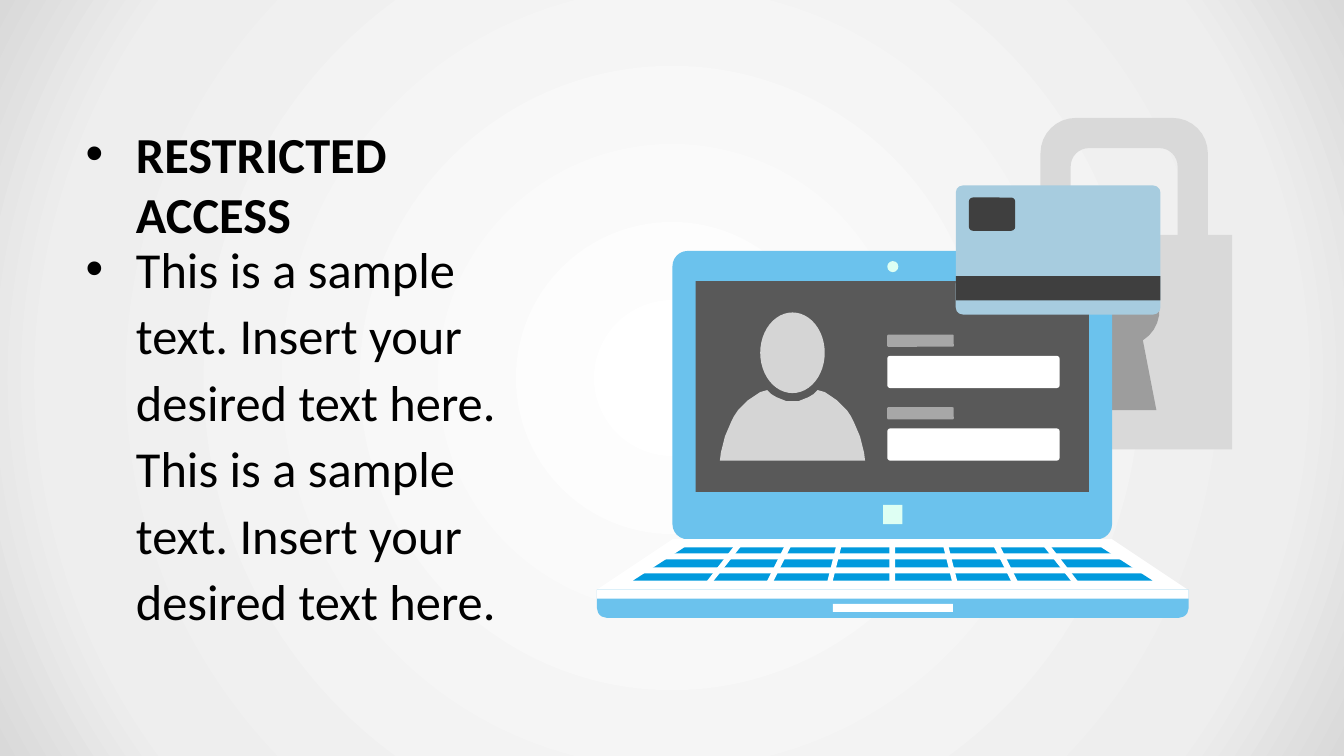
from dataclasses import dataclass
from math import cos, radians, sin

from lxml import etree
from pptx import Presentation
from pptx.dml.color import RGBColor
from pptx.enum.shapes import MSO_SHAPE
from pptx.oxml import parse_xml
from pptx.oxml.ns import nsdecls, qn
from pptx.util import Inches, Pt

RECT = MSO_SHAPE.RECTANGLE
ROUND = MSO_SHAPE.ROUNDED_RECTANGLE
ROUND_BOTTOM = MSO_SHAPE.ROUND_2_SAME_RECTANGLE
OVAL = MSO_SHAPE.OVAL

COLORS = {
    "black": "000000",
    "white": "FFFFFF",
    "pale": "EEEEEE",
    "grey": "D9D9D9",
    "keyhole": "404040",
    "laptop": "6BC2ED",
    "display": "595959",
    "mint": "DEFFF3",
    "keys": "019ADD",
    "card": "A7CCDF",
    "stripe": "3F3F3F",
}
FONT = "Calibri"
BACKDROP = ((0, "white"), (81, "pale"), (100, "grey"))

Point = tuple[float, float]


@dataclass
class Block:
    kind: int
    left: float
    top: float
    width: float
    height: float
    color: str
    radius: float = 0
    opacity: int = 100


@dataclass
class Outline:
    points: list[Point]
    color: str
    opacity: int = 100


@dataclass
class Bullet:
    text: str
    top: float
    height: float
    bold: bool
    spacing: float


def arc(x: float, y: float, radius: float, start: int, end: int, steps: int = 8) -> list[Point]:
    angles = [radians(start + (end - start) * i / steps) for i in range(steps + 1)]
    return [(x + radius * cos(a), y + radius * sin(a)) for a in angles]


def mirror(points: list[Point], axis: float) -> list[Point]:
    return [(2 * axis - x, y) for x, y in reversed(points)]


def paint(shape, color: str, opacity: int) -> None:
    shape.shadow.inherit = False
    shape.line.fill.background()
    shape.fill.solid()
    shape.fill.fore_color.rgb = RGBColor.from_string(COLORS[color])
    if opacity < 100:
        tint = next(shape.element.spPr.iter(qn("a:srgbClr")))
        etree.SubElement(tint, qn("a:alpha"), val=str(opacity * 1000))


def draw_block(slide, block: Block) -> None:
    box = (block.left, block.top, block.width, block.height)
    shape = slide.shapes.add_shape(block.kind, *map(Inches, box))
    corner = block.radius / min(block.width, block.height)
    if block.kind == ROUND:
        shape.adjustments[0] = corner
    elif block.kind == ROUND_BOTTOM:
        shape.adjustments[0] = 0
        shape.adjustments[1] = corner
    paint(shape, block.color, block.opacity)


def draw_outline(slide, outline: Outline) -> None:
    start, *rest = [(Inches(x), Inches(y)) for x, y in outline.points]
    builder = slide.shapes.build_freeform(*start)
    builder.add_line_segments(rest, close=True)
    paint(builder.convert_to_shape(), outline.color, outline.opacity)


def draw_bullet(slide, bullet: Bullet) -> None:
    box = (0.75, bullet.top, 4.58, bullet.height)
    frame = slide.shapes.add_textbox(*map(Inches, box)).text_frame
    frame.word_wrap = True
    paragraph = frame.paragraphs[0]
    properties = paragraph._p.get_or_add_pPr()
    properties.set("marL", str(Inches(0.5)))
    properties.set("indent", str(Inches(-0.5)))
    etree.SubElement(properties, qn("a:buFont"), typeface="Arial")
    etree.SubElement(properties, qn("a:buChar"), char="•")
    paragraph.line_spacing = bullet.spacing
    run = paragraph.add_run()
    run.text = bullet.text
    run.font.name = FONT
    run.font.size = Pt(36)
    run.font.bold = bullet.bold
    run.font.color.rgb = RGBColor.from_string(COLORS["black"])


def draw_backdrop(slide) -> None:
    stops = "".join(
        f'<a:gs pos="{place * 1000}"><a:srgbClr val="{COLORS[color]}"/></a:gs>'
        for place, color in BACKDROP
    )
    slide.element.cSld.insert(0, parse_xml(
        f'<p:bg {nsdecls("p", "a")}><p:bgPr><a:gradFill rotWithShape="1">'
        f'<a:gsLst>{stops}</a:gsLst><a:path path="circle">'
        '<a:fillToRect l="50000" t="50000" r="50000" b="50000"/></a:path>'
        '</a:gradFill><a:effectLst/></p:bgPr></p:bg>'
    ))


def padlock() -> list[Block | Outline]:
    keyhole = arc(11.15, 3.08, 0.35, 122, 418, 24) + [(11.47, 4.07), (10.84, 4.07)]
    outer = arc(10.67, 1.52, 0.35, 180, 270) + arc(11.63, 1.52, 0.35, 270, 360)
    inner = arc(11.5, 1.65, 0.18, 360, 270) + arc(10.8, 1.65, 0.18, 270, 180)
    shackle = outer + [(11.98, 2.33), (11.68, 2.33)] + inner + [(10.62, 2.33), (10.32, 2.33)]
    return [
        Block(RECT, 10.09, 2.33, 2.13, 2.13, "grey"),
        Outline(keyhole, "keyhole", 39),
        Outline(shackle, "grey"),
    ]


def laptop() -> list[Block | Outline]:
    right_gaps = [
        [(9.4, 5.39), (9.5, 5.79), (9.45, 5.8), (9.35, 5.4)],
        [(9.9, 5.38), (10.1, 5.78), (10.05, 5.81), (9.85, 5.41)],
        [(10.39, 5.38), (10.7, 5.78), (10.66, 5.81), (10.35, 5.42)],
    ]
    left_gaps = [mirror(gap, 8.85) for gap in right_gaps]
    return [
        Block(ROUND, 6.67, 2.49, 4.36, 2.86, "laptop", 0.15),
        Block(RECT, 6.9, 2.79, 3.9, 2.09, "display"),
        Block(OVAL, 8.8, 2.59, 0.11, 0.11, "mint"),
        Block(RECT, 8.76, 5.01, 0.19, 0.19, "mint"),
        Outline([(6.67, 5.35), (11.03, 5.35), (11.78, 5.85), (5.92, 5.85)], "white"),
        Block(ROUND_BOTTOM, 5.92, 5.85, 5.87, 0.28, "laptop", 0.1),
        Block(RECT, 8.26, 5.99, 1.19, 0.08, "white"),
        Block(RECT, 5.92, 5.85, 5.87, 0.09, "white"),
        Outline([(6.79, 5.43), (10.92, 5.43), (11.43, 5.76), (6.28, 5.76)], "keys"),
        Block(RECT, 8.82, 5.4, 0.06, 0.4, "white"),
        *[Outline(gap, "white") for gap in right_gaps + left_gaps],
        Block(RECT, 6.51, 5.49, 4.66, 0.06, "white"),
        Block(RECT, 6.34, 5.63, 5.07, 0.06, "white"),
    ]


def login_form() -> list[Block | Outline]:
    right_shoulder = [
        (7.86, 3.98), (7.92, 3.98), (7.97, 3.96), (8.02, 3.94), (8.07, 3.91),
        (8.11, 3.87), (8.18, 3.89), (8.24, 3.93), (8.3, 3.97), (8.35, 4.02),
        (8.4, 4.07), (8.44, 4.13), (8.47, 4.19), (8.5, 4.26), (8.53, 4.33),
        (8.55, 4.41), (8.57, 4.49), (8.58, 4.57),
    ]
    parts = [
        Block(OVAL, 7.54, 3.1, 0.64, 0.8, "white", opacity=75),
        Outline(right_shoulder + mirror(right_shoulder, 7.86), "white", 75),
    ]
    for row in range(2):
        drop = 0.72 * row
        parts.append(Block(ROUND, 8.8, 3.53 + drop, 1.71, 0.32, "white", 0.03))
        parts.append(Block(ROUND, 8.8, 3.32 + drop, 0.66, 0.12, "white", 0.01, 47))
    return parts


def bank_card() -> list[Block | Outline]:
    return [
        Block(ROUND, 9.48, 1.84, 2.03, 1.28, "card", 0.07),
        Block(RECT, 9.48, 2.74, 2.03, 0.24, "stripe"),
        Block(ROUND, 9.61, 1.96, 0.46, 0.33, "stripe", 0.04),
    ]


def main() -> None:
    deck = Presentation()
    deck.slide_width, deck.slide_height = Inches(13.33), Inches(7.5)
    slide = deck.slides.add_slide(deck.slide_layouts[6])
    draw_backdrop(slide)
    sample = "This is a sample text. Insert your desired text here."
    draw_bullet(slide, Bullet("RESTRICTED ACCESS", 1.17, 0.83, True, 1.0))
    draw_bullet(slide, Bullet(f"{sample} {sample}", 2.25, 4.17, False, 1.1))
    for part in padlock() + laptop() + login_form() + bank_card():
        if isinstance(part, Block):
            draw_block(slide, part)
        else:
            draw_outline(slide, part)
    deck.save("out.pptx")


if __name__ == "__main__":
    main()
